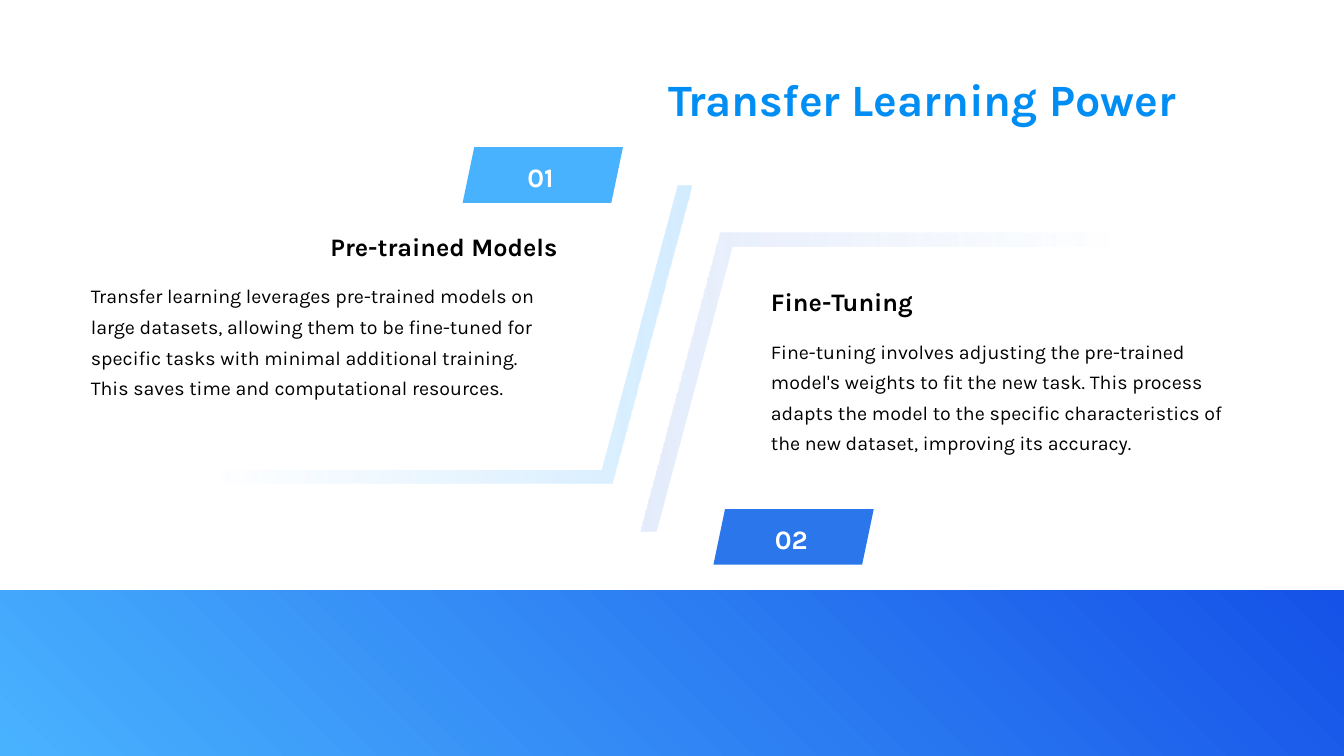
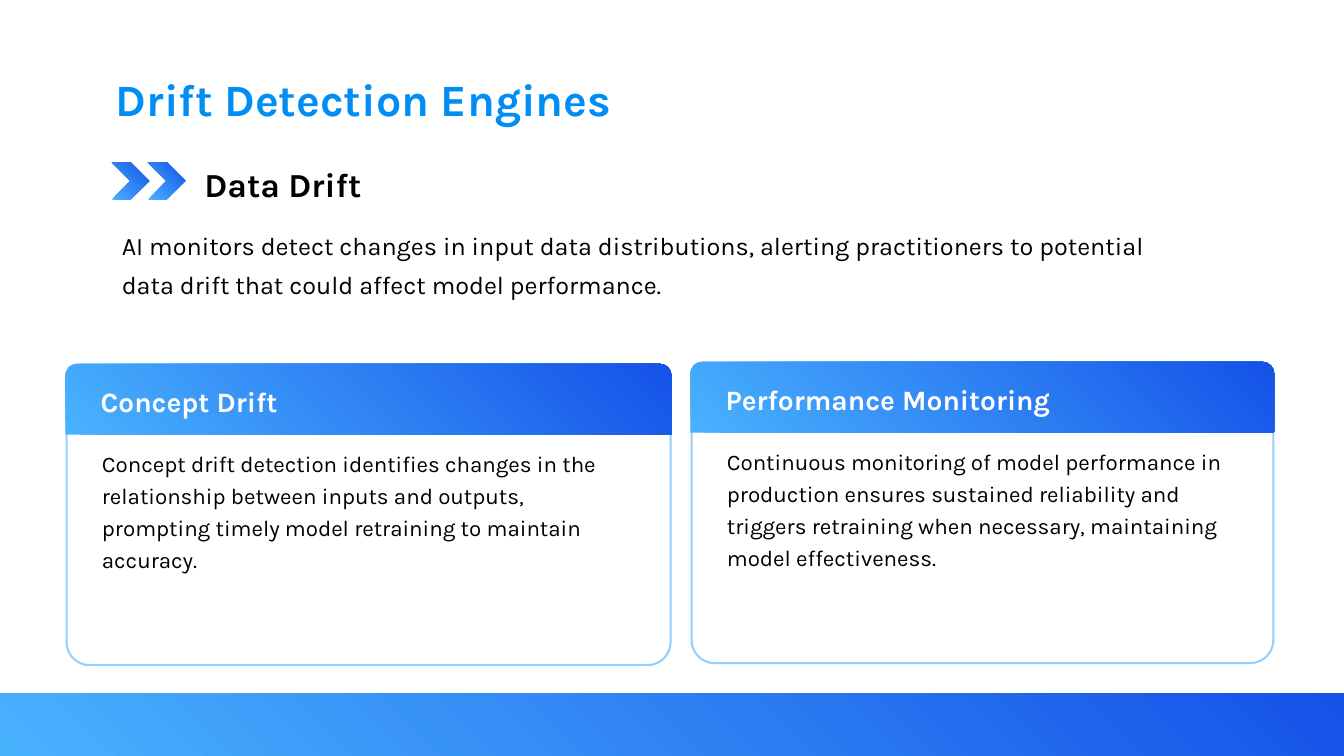
from lxml import etree
from pptx import Presentation
from pptx.dml.color import RGBColor
from pptx.enum import shapes, text
from pptx.oxml.ns import qn
from pptx.util import Cm, Pt

FONT = "Karla"
TITLE, BLACK, WHITE = "018EF4", "000000", "FFFFFF"
SKY, ROYAL, CARD_EDGE = "49B2FE", "1552E8", "92D1FE"
WIDTH, HEIGHT = 33.87, 19.05
# Gradient stops: position %, colour, opacity %
BLUE_STOPS = [(0, SKY, 100), (100, ROYAL, 100)]
BLUE_ANGLE = 45

LEFT, CENTER, RIGHT = (text.PP_ALIGN.LEFT, text.PP_ALIGN.CENTER,
                       text.PP_ALIGN.RIGHT)
TOP, MIDDLE = text.MSO_ANCHOR.TOP, text.MSO_ANCHOR.MIDDLE
KIND = shapes.MSO_SHAPE

TRANSFER = dict(title="Transfer Learning Power", align=RIGHT, band_top=14.89)
STEPS = [  # in drawing order, positions in cm
    dict(number="02", tag=(17.98, 12.83), tag_color="2A76EA",
         strip=(16.15, 5.87), cover=(16.46, 6.22),
         strip_color="BCD0F7", fade_angle=180,
         heading="Fine-Tuning", heading_at=(19.43, 7.21), align=LEFT,
         body_left=19.43,
         body="Fine-tuning involves adjusting the pre-trained model's weights "
              "to fit the new task. This process adapts the model to the "
              "specific characteristics of the new dataset, improving its "
              "accuracy."),
    dict(number="01", tag=(11.66, 3.71), tag_color=SKY,
         strip=(2.54, 4.67), cover=(2.29, 4.32),
         strip_color="92D1FE", fade_angle=0,
         heading="Pre-trained Models", heading_at=(3.48, 5.82), align=RIGHT,
         body_left=2.29,
         body="Transfer learning leverages pre-trained models on large "
              "datasets, allowing them to be fine-tuned for specific tasks "
              "with minimal additional training. This saves time and "
              "computational resources."),
]

DRIFT = dict(title="Drift Detection Engines", align=LEFT, band_top=17.48)
DATA_DRIFT = ("Data Drift",
              "AI monitors detect changes in input data distributions, alerting "
              "practitioners to potential data drift that could affect model "
              "performance.")
CARDS = [  # left, top, width, heading, body
    (1.65, 9.17, 15.27, "Concept Drift",
     "Concept drift detection identifies changes in the relationship between "
     "inputs and outputs, prompting timely model retraining to maintain "
     "accuracy."),
    (17.4, 9.12, 14.71, "Performance Monitoring",
     "Continuous monitoring of model performance in production ensures "
     "sustained reliability and triggers retraining when necessary, "
     "maintaining model effectiveness."),
]


def rgb(value):
    return RGBColor.from_string(value)


def write(shape, words, size, color=BLACK, bold=False, align=LEFT, anchor=TOP,
          spacing=None, margins=(0.25, 0.13, 0.25, 0.13)):
    """Fill a shape with one paragraph; margins are left, top, right, bottom."""
    frame = shape.text_frame
    frame.text = words
    frame.word_wrap = True
    frame.auto_size = text.MSO_AUTO_SIZE.NONE
    frame.vertical_anchor = anchor
    (frame.margin_left, frame.margin_top,
     frame.margin_right, frame.margin_bottom) = map(Cm, margins)
    paragraph = frame.paragraphs[0]
    paragraph.alignment = align
    if spacing:
        paragraph.line_spacing = spacing
    font = paragraph.runs[0].font
    font.name, font.size, font.bold = FONT, Pt(size), bold
    font.color.rgb = rgb(color)


def add_text(slide, box, words, size, **style):
    write(slide.shapes.add_textbox(*map(Cm, box)), words, size, **style)


def add_plain(slide, kind, box, fill=None, edge=None, adjustments=()):
    shape = slide.shapes.add_shape(kind, *map(Cm, box))
    shape.shadow.inherit = False
    for index, value in enumerate(adjustments):
        shape.adjustments[index] = value
    if fill:
        shape.fill.solid()
        shape.fill.fore_color.rgb = rgb(fill)
    if edge:
        shape.line.color.rgb = rgb(edge)
        shape.line.width = Pt(1.5)
    else:
        shape.line.fill.background()
    return shape


def add_gradient(slide, kind, box, stops=BLUE_STOPS, angle=BLUE_ANGLE,
                 adjustments=()):
    shape = add_plain(slide, kind, box, adjustments=adjustments)
    shape.fill.gradient()
    shape.fill.gradient_angle = angle
    stop_list = shape._element.spPr.find(qn("a:gradFill")).find(qn("a:gsLst"))
    for old in list(stop_list):
        stop_list.remove(old)
    for position, color, opacity in stops:
        stop = etree.SubElement(stop_list, qn("a:gs"), pos=str(position * 1000))
        tint = etree.SubElement(stop, qn("a:srgbClr"), val=color)
        if opacity < 100:
            etree.SubElement(tint, qn("a:alpha"), val=str(opacity * 1000))
    return shape


def add_slide(deck, title, align, band_top):
    """Start a slide with the shared title style and bottom band."""
    slide = deck.slides.add_slide(deck.slide_layouts[5])
    heading = slide.shapes.title
    heading.left, heading.top, heading.width, heading.height = map(
        Cm, (2.67, 1.68, 27.23, 1.4))
    write(heading, title, 32, TITLE, bold=True, align=align)
    add_gradient(slide, KIND.RECTANGLE, (0, band_top, WIDTH, HEIGHT - band_top))
    return slide


def add_step(slide, step):
    panel = (14.88, 7.52)
    slant = [0.267]
    color = step["strip_color"]
    fade = [(0, color, 0), (20, color, 0), (100, color, 40)]
    add_gradient(slide, KIND.PARALLELOGRAM, step["strip"] + panel, fade,
                 step["fade_angle"], slant)
    add_plain(slide, KIND.PARALLELOGRAM, step["cover"] + panel, WHITE,
              adjustments=slant)
    tag = add_plain(slide, KIND.PARALLELOGRAM, step["tag"] + (4.04, 1.4),
                    step["tag_color"], adjustments=[0.209])
    write(tag, step["number"], 19, WHITE, bold=True, align=CENTER,
          anchor=MIDDLE, margins=(0.13, 0.25, 0.25, 0.13))
    flush = (0, 0, 0, 0)
    left, top = step["heading_at"]
    add_text(slide, (left, top, 10.57, 1.02), step["heading"], 18, bold=True,
             align=step["align"], margins=flush)
    add_text(slide, (step["body_left"], top + 1.17, 11.76, 3.71), step["body"],
             14, spacing=1.3, margins=flush)


def add_card(slide, left, top, width, heading, body):
    card = add_plain(slide, KIND.ROUNDED_RECTANGLE,
                     (left + 0.03, top + 0.05, width - 0.05, 7.54),
                     WHITE, CARD_EDGE, [0.077])
    write(card, body, 16, spacing=1.2, margins=(0.72, 1.81, 0.7, 0.13))
    header = add_gradient(slide, KIND.ROUND_2_SAME_RECTANGLE,
                          (left, top, width, 1.78), adjustments=[0.167, 0])
    write(header, heading, 20, WHITE, bold=True, anchor=MIDDLE,
          margins=(0.8, 0.13, 0.25, 0.13))


def main():
    deck = Presentation()
    deck.slide_width, deck.slide_height = Cm(WIDTH), Cm(HEIGHT)

    transfer = add_slide(deck, **TRANSFER)
    for step in STEPS:
        add_step(transfer, step)

    drift = add_slide(deck, **DRIFT)
    for index in range(2):
        add_gradient(drift, KIND.CHEVRON, (2.82 + 0.91 * index, 4.09, 0.94, 0.94),
                     adjustments=[0.5])
    heading, summary = DATA_DRIFT
    add_text(drift, (4.9, 4.01, 24.31, 1.02), heading, 24, bold=True)
    add_text(drift, (2.82, 5.44, 27.2, 1.98), summary, 18, spacing=1.3)
    for card in CARDS:
        add_card(drift, *card)

    deck.save("out.pptx")


if __name__ == "__main__":
    main()
